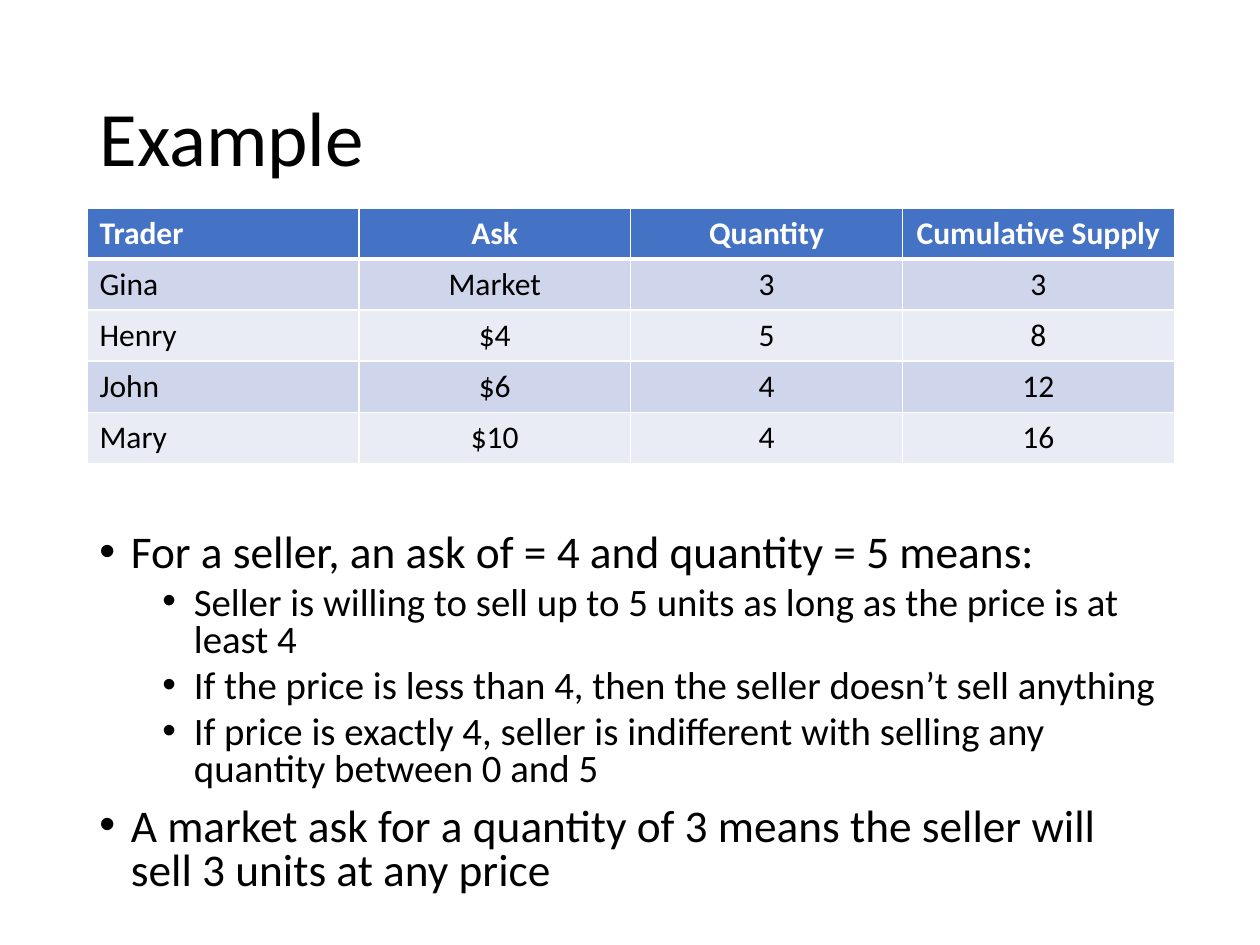
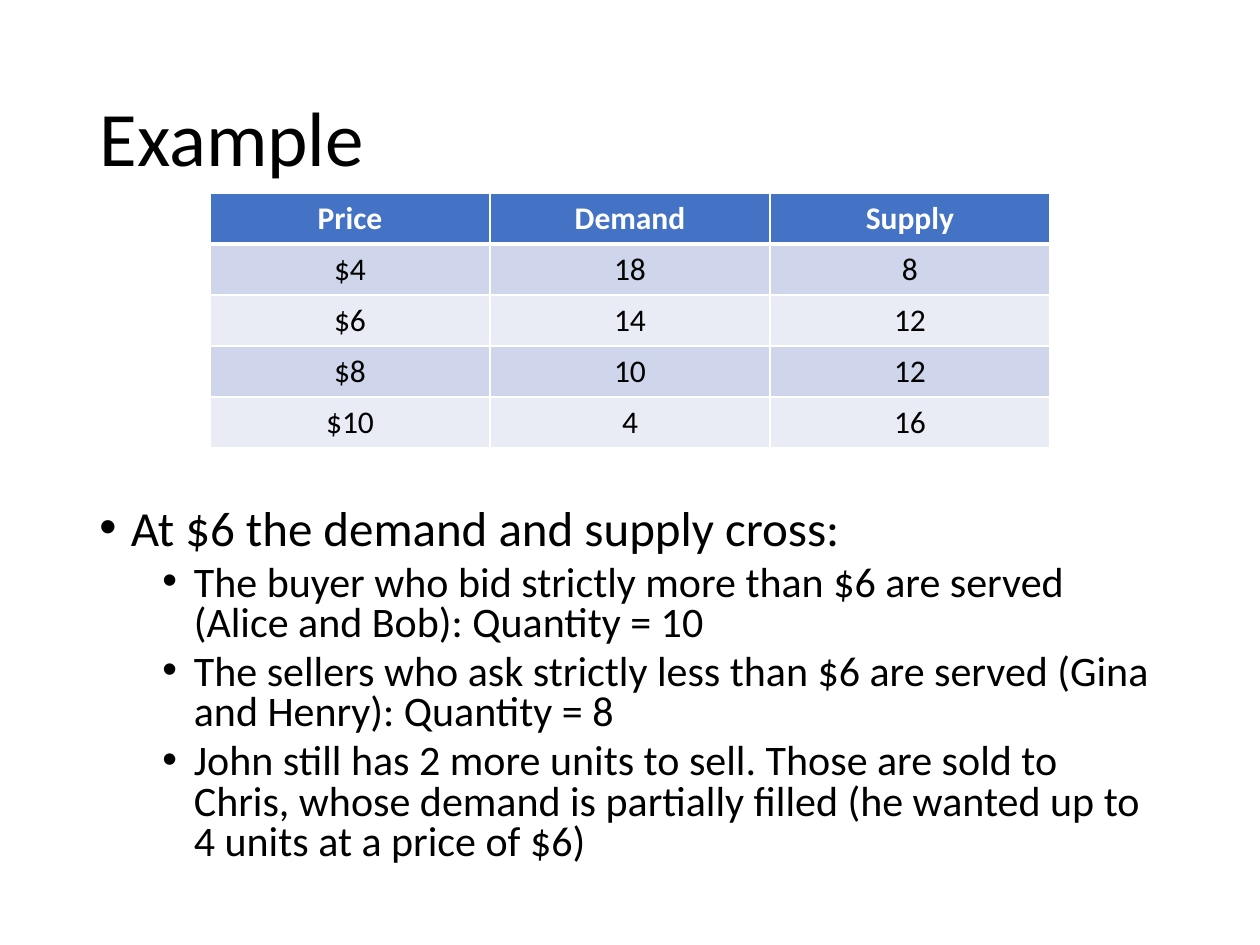
from dataclasses import dataclass

from lxml import etree
from pptx import Presentation
from pptx.dml.color import RGBColor
from pptx.enum.text import MSO_ANCHOR, MSO_AUTO_SIZE, PP_ALIGN
from pptx.oxml.ns import qn
from pptx.util import Inches, Pt

LEFT, CENTER = PP_ALIGN.LEFT, PP_ALIGN.CENTER
MIDDLE, NO_FIT = MSO_ANCHOR.MIDDLE, MSO_AUTO_SIZE.NONE
TITLE_ONLY = 5
SLIDE_W, SLIDE_H = Inches(10), Inches(7.5)
FONT = "Calibri"
COLORS = {
    "text": "000000",
    "white": "FFFFFF",
    "header": "4472C4",
    "odd": "CFD5EA",
    "even": "E9EBF5",
}
ROW_H = 5.41  # percent of the slide height


@dataclass
class Box:
    """A place on the slide, in percent of its width and height."""
    x: float
    y: float
    w: float
    h: float

    def emu(self) -> tuple[int, int, int, int]:
        return (int(SLIDE_W * self.x / 100), int(SLIDE_H * self.y / 100),
                int(SLIDE_W * self.w / 100), int(SLIDE_H * self.h / 100))


@dataclass
class Bullet:
    text: str
    level: int = 0


@dataclass
class Example:
    table_box: Box
    first_align: PP_ALIGN
    rows: list[list[str]]
    text_box: Box
    sizes: tuple[float, float]  # by bullet level
    bullets: list[Bullet]


TITLE_BOX = Box(6.9, 5.33, 86.2, 19.33)
EXAMPLES = [
    Example(
        Box(6.9, 22, 86.3, 5 * ROW_H), LEFT,
        [["Trader", "Ask", "Quantity", "Cumulative Supply"],
         ["Gina", "Market", "3", "3"],
         ["Henry", "$4", "5", "8"],
         ["John", "$6", "4", "12"],
         ["Mary", "$10", "4", "16"]],
        Box(6.9, 55.87, 86.2, 40.13), (25.9, 22.2),
        [Bullet("For a seller, an ask of = 4 and quantity = 5 means:"),
         Bullet("Seller is willing to sell up to 5 units as long as the price is at least 4", 1),
         Bullet("If the price is less than 4, then the seller doesn’t sell anything", 1),
         Bullet("If price is exactly 4, seller is indifferent with selling any quantity "
                "between 0 and 5", 1),
         Bullet("A market ask for a quantity of 3 means the seller will sell 3 units at any price")],
    ),
    Example(
        Box(16.67, 20.4, 66.67, 5 * ROW_H), CENTER,
        [["Price", "Demand", "Supply"],
         ["$4", "18", "8"],
         ["$6", "14", "12"],
         ["$8", "10", "12"],
         ["$10", "4", "16"]],
        Box(6.9, 53.2, 86.2, 43.07), (28, 24),
        [Bullet("At $6 the demand and supply cross:"),
         Bullet("The buyer who bid strictly more than $6 are served (Alice and Bob): "
                "Quantity = 10", 1),
         Bullet("The sellers who ask strictly less than $6 are served (Gina and Henry): "
                "Quantity = 8", 1),
         Bullet("John still has 2 more units to sell. Those are sold to Chris, whose demand is "
                "partially filled (he wanted up to 4 units at a price of $6)", 1)],
    ),
]


def apply(target, values: dict) -> None:
    for name, value in values.items():
        setattr(target, name, value)


def write(p, text: str, size: float, color: str = "text", bold: bool = False) -> None:
    r = p.add_run()
    r.text = text
    apply(r.font, {"name": FONT, "size": Pt(size), "bold": bold})
    r.font.color.rgb = RGBColor.from_string(COLORS[color])


def add_title(s, text: str) -> None:
    sp = s.shapes.title
    apply(sp, dict(zip(("left", "top", "width", "height"), TITLE_BOX.emu())))
    tf = sp.text_frame
    apply(tf, {"word_wrap": True, "auto_size": NO_FIT, "vertical_anchor": MIDDLE})
    p = tf.paragraphs[0]
    apply(p, {"alignment": LEFT, "line_spacing": 0.9})
    write(p, text, 44)


def add_bullets(s, box: Box, bullets: list[Bullet], sizes: tuple[float, float]) -> None:
    tf = s.shapes.add_textbox(*box.emu()).text_frame
    apply(tf, {"word_wrap": True, "auto_size": NO_FIT})
    for i, bullet in enumerate(bullets):
        p = tf.add_paragraph() if i else tf.paragraphs[0]
        # Hanging bullet
        pPr = p._p.get_or_add_pPr()
        pPr.set("marL", str(Inches(0.25 + 0.5 * bullet.level)))
        pPr.set("indent", str(-Inches(0.25)))
        etree.SubElement(pPr, qn("a:buFont"), typeface="Arial")
        etree.SubElement(pPr, qn("a:buChar"), char="•")
        space = Pt((10, 5)[bullet.level] if i else 0)
        apply(p, {"level": bullet.level, "line_spacing": 0.8, "space_before": space})
        write(p, bullet.text, sizes[bullet.level])


def add_borders(cell, row: int) -> None:
    """White rules, heavier between the header and the first row."""
    tcPr = cell._tc.get_or_add_tcPr()
    widths = {"L": 1, "R": 1, "T": 3 if row == 1 else 1, "B": 3 if row == 0 else 1}
    for side, width in widths.items():
        ln = etree.SubElement(tcPr, qn(f"a:ln{side}"), w=str(Pt(width)))
        fill = etree.SubElement(ln, qn("a:solidFill"))
        etree.SubElement(fill, qn("a:srgbClr"), val=COLORS["white"])


def add_grid(s, box: Box, rows: list[list[str]], first_align: PP_ALIGN) -> None:
    table = s.shapes.add_table(len(rows), len(rows[0]), *box.emu()).table
    for i, row in enumerate(rows):
        header = i == 0
        band = "header" if header else ("even", "odd")[i % 2]
        for j, text in enumerate(row):
            cell = table.cell(i, j)
            add_borders(cell, i)
            cell.fill.solid()
            cell.fill.fore_color.rgb = RGBColor.from_string(COLORS[band])
            p = cell.text_frame.paragraphs[0]
            p.alignment = CENTER if j else first_align
            write(p, text, 18, "white" if header else "text", header)


def main() -> None:
    prs = Presentation()
    apply(prs, {"slide_width": SLIDE_W, "slide_height": SLIDE_H})
    for example in EXAMPLES:
        s = prs.slides.add_slide(prs.slide_layouts[TITLE_ONLY])
        add_title(s, "Example")
        add_bullets(s, example.text_box, example.bullets, example.sizes)
        add_grid(s, example.table_box, example.rows, example.first_align)
    prs.save("out.pptx")


if __name__ == "__main__":
    main()
